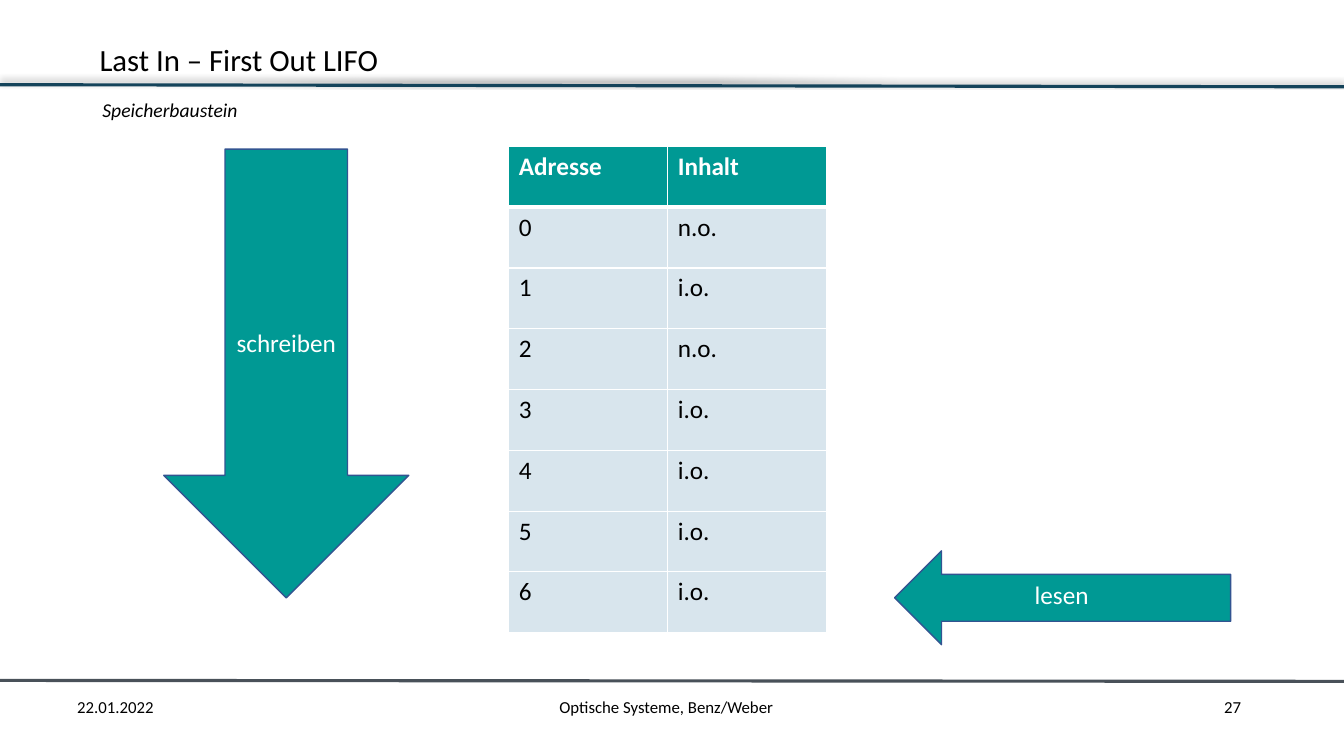
from lxml import etree
from pptx import Presentation
from pptx.dml.color import RGBColor
from pptx.enum import shapes as sh, text as tx
from pptx.oxml import ns, parse_xml
from pptx.util import Pt

TEAL, EDGE, PALE = "009994", "325491", "D8E5ED"
BLACK, WHITE = "000000", "FFFFFF"
NS = ns.nsdecls("a")
MID, TOP = tx.MSO_ANCHOR.MIDDLE, tx.MSO_ANCHOR.TOP
LEFT, CENTER = tx.PP_ALIGN.LEFT, tx.PP_ALIGN.CENTER


def rgb(code):
    return RGBColor.from_string(code)


def write(frame, words, size=18, color=BLACK, bold=False, italic=False,
          align=LEFT, anchor=TOP, wrap=True, lead=None):
    frame.word_wrap = wrap
    frame.vertical_anchor = anchor
    para = frame.paragraphs[0]
    para.alignment = align
    para.line_spacing = lead
    run = para.add_run()
    run.text = words
    font = run.font
    font.name, font.size = "Calibri", Pt(size)
    font.bold, font.italic = bold, italic
    font.color.rgb = rgb(color)


def label(slide, box, words, **form):
    frame = slide.shapes.add_textbox(*map(Pt, box)).text_frame
    write(frame, words, **form)
    return frame


def rule(slide, start, end, color, shade=False):
    line = slide.shapes.add_connector(sh.MSO_CONNECTOR.STRAIGHT,
                                      *map(Pt, start + end))
    line.line.color.rgb = rgb(color)
    line.line.width = Pt(2.25)
    glow = etree.SubElement(line._element.spPr, ns.qn("a:effectLst"))
    if shade:
        glow.append(parse_xml(
            f'<a:outerShdw {NS} blurRad="{Pt(4)}" dist="{Pt(3)}" dir="16200000" '
            'algn="b" rotWithShape="0"><a:srgbClr val="000000">'
            '<a:alpha val="40000"/></a:srgbClr></a:outerShdw>'))


def arrow(slide, box, turn=0):
    shape = slide.shapes.add_shape(sh.MSO_SHAPE.DOWN_ARROW, *map(Pt, box))
    shape.rotation = turn
    shape.shadow.inherit = False
    shape.fill.solid()
    shape.fill.fore_color.rgb = rgb(TEAL)
    shape.line.color.rgb = rgb(EDGE)
    shape.line.width = Pt(1)
    return shape


def border(cell, widths):
    # Border lines come before the fill in the cell properties
    props = cell._tc.get_or_add_tcPr()
    for spot, (side, width) in enumerate(widths.items()):
        props.insert(spot, parse_xml(
            f'<a:ln{side} {NS} w="{Pt(width)}"><a:solidFill>'
            f'<a:srgbClr val="{WHITE}"/></a:solidFill></a:ln{side}>'))


def header(slide, box):
    x, y, w, h = box
    rule(slide, (0, y + h), (960, y + h + 1.5), "14435A", shade=True)
    label(slide, (x, y, w, h), "Last In – First Out LIFO", size=22,
          anchor=MID, lead=0.9)
    label(slide, (x + 2, y + h + 8, w, 28), "Speicherbaustein", size=14,
          italic=True, lead=0.9)


def memory(slide, box):
    x, y, w, h = box
    rows = [("Adresse", "Inhalt")]
    rows += [(str(i), "n.o." if i in (0, 2) else "i.o.") for i in range(7)]
    table = slide.shapes.add_table(len(rows), 2, *map(Pt, box)).table
    for col in table.columns:
        col.width = Pt(w / 2)
    for r, row in enumerate(rows):
        table.rows[r].height = Pt(h / len(rows))
        head = r == 0
        for c, words in enumerate(row):
            cell = table.cell(r, c)
            cell.fill.solid()
            cell.fill.fore_color.rgb = rgb(TEAL if head else PALE)
            border(cell, {"L": 1, "R": 1, "T": 3 if r == 1 else 1,
                          "B": 3 if head else 1})
            write(cell.text_frame, words, bold=head,
                  color=WHITE if head else BLACK)


def access(slide, box):
    x, y, w, h = box
    # Write arrow on the left
    down = arrow(slide, (x, y, 175, h))
    write(down.text_frame, "schreiben", color=WHITE, align=CENTER, anchor=MID)
    # Read arrow on the right, turned to point at the last row
    wide, long = 67, 240
    arrow(slide, (x + w - (long + wide) / 2, y + h - long / 2, wide, long), 90)
    frame = label(slide, (x + w - 147, y + h - 17, 53, 29), "lesen",
                  color=WHITE, wrap=False)
    frame.auto_size = tx.MSO_AUTO_SIZE.SHAPE_TO_FIT_TEXT


def footer(slide, box):
    x, y, w, h = box
    rule(slide, (x, y), (x + w, y + 0.7), "495159")
    parts = [("22.01.2022", 48, 250, LEFT),
             ("Optische Systeme, Benz/Weber", 249, 454, CENTER),
             ("27", 801, 159, CENTER)]
    for words, left, wide, align in parts:
        label(slide, (x + left, y + 4.5, wide, h), words, size=12,
              align=align, anchor=MID)


def main():
    deck = Presentation()
    deck.slide_width, deck.slide_height = Pt(960), Pt(540)
    slide = deck.slides.add_slide(deck.slide_layouts[6])
    header(slide, (64, 28, 824, 32.5))
    memory(slide, (363.5, 104.5, 227, 347.5))
    access(slide, (117, 106.5, 762, 320.5))
    footer(slide, (0, 486, 960, 29))
    deck.save("out.pptx")


if __name__ == "__main__":
    main()
